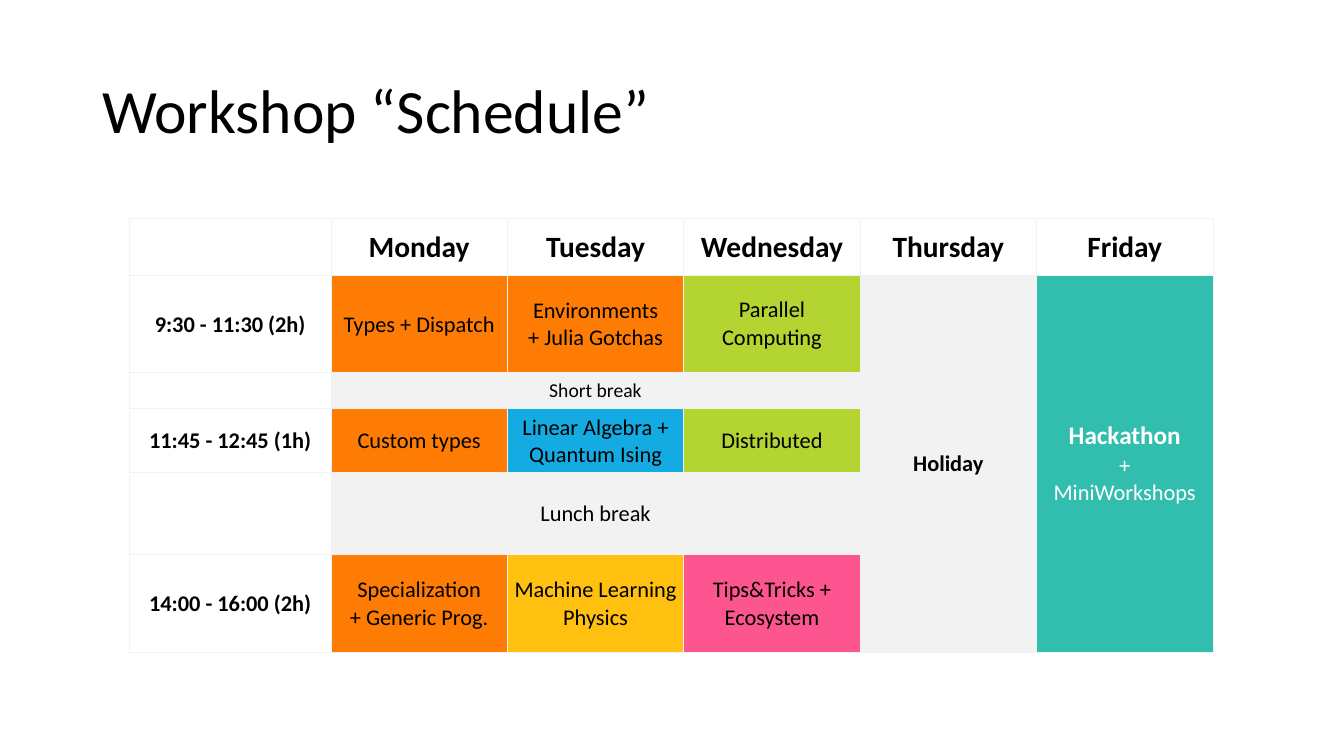
from dataclasses import dataclass

from lxml import etree
from pptx import Presentation
from pptx.dml.color import RGBColor
from pptx.enum.text import MSO_ANCHOR, PP_ALIGN
from pptx.oxml.ns import qn
from pptx.slide import Slide
from pptx.table import Table, _Cell
from pptx.util import Pt

MIDDLE = MSO_ANCHOR.MIDDLE
CENTER = PP_ALIGN.CENTER


@dataclass(frozen=True)
class Theme:
    font: str = "Calibri"
    black: str = "000000"
    white: str = "FFFFFF"
    gray: str = "F2F2F2"
    orange: str = "FE7C04"
    green: str = "B3D431"
    blue: str = "14ABE3"
    yellow: str = "FFC00F"
    pink: str = "FD5590"
    teal: str = "31BEAF"
    title: float = 44
    head: float = 21
    lead: float = 18
    body: float = 16
    small: float = 14
    rule: float = 0.75


@dataclass(frozen=True)
class Entry:
    row: int
    col: int
    text: str
    fill: str
    size: float = 16
    bold: bool = False
    roomy: bool = False
    rows: int = 1
    cols: int = 1


THEME = Theme()
DAYS = ["Monday", "Tuesday", "Wednesday", "Thursday", "Friday"]
TIMES = {1: "9:30 - 11:30 (2h)", 3: "11:45 - 12:45 (1h)", 5: "14:00 - 16:00 (2h)"}
WIDTHS = [144] + [126] * len(DAYS)
HEIGHTS = [40.3, 69.8, 24.5, 46.1, 58.3, 69.8]
TIGHT = (0.72, 0.72, 0.72, 0)
ROOMY = (8.64, 4.32, 8.64, 4.32)

HEADS = [Entry(0, col, day, THEME.white, THEME.head, True) for col, day in enumerate(DAYS, 1)]
SLOTS = [Entry(row, 0, time, THEME.white, bold=True) for row, time in TIMES.items()]
TALKS = [
    Entry(1, 1, "Types + Dispatch", THEME.orange),
    Entry(1, 2, "Environments\n+ Julia Gotchas", THEME.orange),
    Entry(1, 3, "Parallel Computing", THEME.green, roomy=True),
    Entry(3, 1, "Custom types", THEME.orange),
    Entry(3, 2, "Linear Algebra + Quantum Ising", THEME.blue),
    Entry(3, 3, "Distributed", THEME.green, roomy=True),
    Entry(5, 1, "Specialization\n+ Generic Prog.", THEME.orange),
    Entry(5, 2, "Machine Learning Physics", THEME.yellow),
    Entry(5, 3, "Tips&Tricks + Ecosystem", THEME.pink),
]
SPANS = [
    Entry(2, 1, "Short break", THEME.gray, THEME.small, roomy=True, cols=3),
    Entry(4, 1, "Lunch break", THEME.gray, roomy=True, cols=3),
    Entry(1, 4, "Holiday", THEME.gray, bold=True, roomy=True, rows=5),
    Entry(1, 5, "Hackathon\n+\nMiniWorkshops", THEME.teal, roomy=True, rows=5),
]


def style_font(font, size: float, color: str, bold: bool = False) -> None:
    font.name = THEME.font
    font.size = Pt(size)
    font.bold = bold
    font.color.rgb = RGBColor.from_string(color)


def set_insets(cell: _Cell, insets: tuple) -> None:
    left, top, right, bottom = map(Pt, insets)
    cell.margin_left, cell.margin_top = left, top
    cell.margin_right, cell.margin_bottom = right, bottom


def paint(cell: _Cell, color: str) -> None:
    cell.fill.solid()
    cell.fill.fore_color.rgb = RGBColor.from_string(color)


def add_rules(cell: _Cell) -> None:
    props = cell._tc.get_or_add_tcPr()
    for side in ("a:lnL", "a:lnR", "a:lnT", "a:lnB"):
        line = etree.SubElement(props, qn(side), w=str(Pt(THEME.rule)))
        fill = etree.SubElement(line, qn("a:solidFill"))
        etree.SubElement(fill, qn("a:srgbClr"), val=THEME.gray)


def add_title(slide: Slide, text: str) -> None:
    box = slide.shapes.add_textbox(Pt(66), Pt(28.8), Pt(828), Pt(104.4))
    frame = box.text_frame
    frame.word_wrap = True
    frame.vertical_anchor = MIDDLE
    frame.text = text
    line = frame.paragraphs[0]
    line.line_spacing = 0.9
    style_font(line.runs[0].font, THEME.title, THEME.black)


def add_grid(slide: Slide) -> Table:
    shape = slide.shapes.add_table(
        len(HEIGHTS), len(WIDTHS), Pt(92.4), Pt(156.2), Pt(sum(WIDTHS)), Pt(sum(HEIGHTS))
    )
    table = shape.table
    table.first_row = table.horz_banding = False
    for column, width in zip(table.columns, WIDTHS):
        column.width = Pt(width)
    for row, height in zip(table.rows, HEIGHTS):
        row.height = Pt(height)
    for cell in table.iter_cells():
        set_insets(cell, TIGHT)
        add_rules(cell)
        paint(cell, THEME.white)
    return table


def fill_entry(table: Table, entry: Entry) -> None:
    cell = table.cell(entry.row, entry.col)
    if entry.rows * entry.cols > 1:
        cell.merge(table.cell(entry.row + entry.rows - 1, entry.col + entry.cols - 1))
    set_insets(cell, ROOMY if entry.roomy else TIGHT)
    paint(cell, entry.fill)
    cell.vertical_anchor = MIDDLE
    line = cell.text_frame.paragraphs[0]
    line.text = entry.text
    line.alignment = CENTER
    color = THEME.white if entry.fill == THEME.teal else THEME.black
    for run in line.runs:
        style_font(run.font, entry.size, color, entry.bold)
    if entry.fill == THEME.teal:
        style_font(line.runs[0].font, THEME.lead, color, True)


def main() -> None:
    deck = Presentation()
    deck.slide_width, deck.slide_height = Pt(960), Pt(540)
    slide = deck.slides.add_slide(deck.slide_layouts[6])
    add_title(slide, "Workshop “Schedule”")
    table = add_grid(slide)
    for entry in HEADS + SLOTS + TALKS + SPANS:
        fill_entry(table, entry)
    deck.save("out.pptx")


if __name__ == "__main__":
    main()
